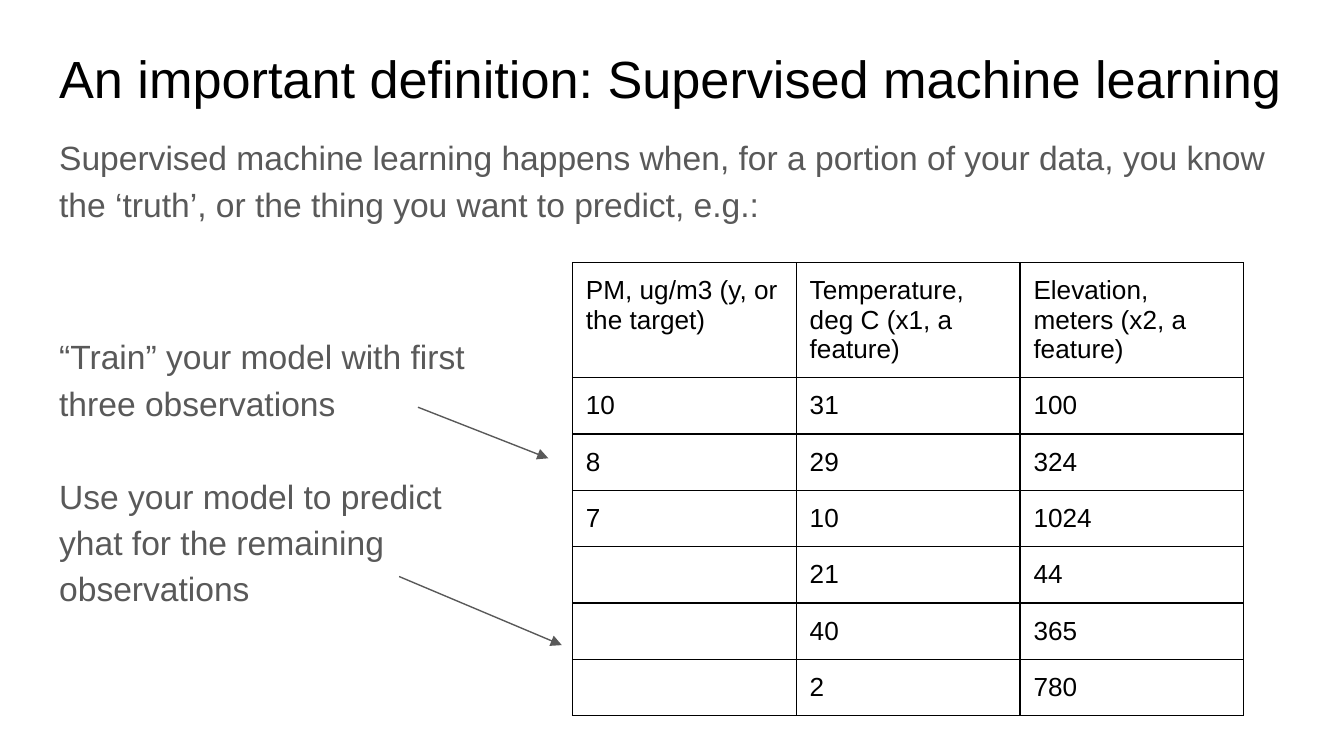
from lxml import etree
from pptx import Presentation
from pptx.dml.color import RGBColor
from pptx.enum.shapes import MSO_CONNECTOR
from pptx.enum.text import MSO_ANCHOR, MSO_AUTO_SIZE, PP_ALIGN
from pptx.oxml.ns import qn
from pptx.util import Emu, Pt

STRAIGHT = MSO_CONNECTOR.STRAIGHT
TOP = MSO_ANCHOR.TOP
LEFT = PP_ALIGN.LEFT
NO_FIT = MSO_AUTO_SIZE.NONE
SCALE = 4572
INSET = 20
FONT = "Arial"
BLACK, GREY = "000000", "595959"

BODY = [
    ("Supervised machine learning happens when, for a portion of your data, "
     "you know the ‘truth’, or the thing you want to predict, e.g.:", 0),
    ("“Train” your model with first\vthree observations", 57),
    ("Use your model to predict\vyhat for the remaining\vobservations", 25),
]
ROWS = [
    ("PM, ug/m3 (y, or the target)", "Temperature, deg C (x1, a feature)",
     "Elevation, meters (x2, a feature)"),
    ("10", "31", "100"),
    ("8", "29", "324"),
    ("7", "10", "1024"),
    ("", "21", "44"),
    ("", "40", "365"),
    ("", "2", "780"),
]
ARROWS = [(594, 858, 836, 960), (622, 606, 816, 682)]


def px(n):
    return Emu(n * SCALE)


def rgb(value):
    return RGBColor.from_string(value)


def write(p, text, size=18, color=BLACK, spacing=1.0, before=0):
    p.text = text
    p.alignment = LEFT
    p.line_spacing = spacing
    p.space_before = Pt(before)
    p.space_after = Pt(0)
    for r in p.runs:
        r.font.size = Pt(size)
        r.font.name = FONT
        r.font.color.rgb = rgb(color)
    if not text:
        end = etree.SubElement(p._p, qn("a:endParaRPr"), sz=str(size * 100))
        etree.SubElement(end, qn("a:latin"), typeface=FONT)


def place(sp, box):
    sp.left, sp.top, sp.width, sp.height = map(px, box)
    tf = sp.text_frame
    tf.word_wrap = True
    tf.auto_size = NO_FIT
    tf.vertical_anchor = TOP
    tf.margin_left = tf.margin_right = px(INSET)
    tf.margin_top = tf.margin_bottom = px(INSET)
    return tf


def add_title(s, box):
    tf = place(s.shapes.title, box)
    write(tf.paragraphs[0],
          "An important definition: Supervised machine learning", size=28)


def add_body(s, box):
    tf = place(s.placeholders[1], box)
    for i, (text, before) in enumerate(BODY):
        p = tf.add_paragraph() if i else tf.paragraphs[0]
        write(p, text, color=GREY, spacing=1.15, before=before)
        pPr = p._p.get_or_add_pPr()
        pPr.set("marL", "0")
        pPr.set("indent", "0")
        etree.SubElement(pPr, qn("a:buNone"))


def add_borders(cell):
    tcPr = cell._tc.get_or_add_tcPr()
    for i, side in enumerate(("lnL", "lnR", "lnT", "lnB")):
        ln = etree.Element(qn("a:" + side), w=str(Pt(0.75)))
        fill = etree.SubElement(ln, qn("a:solidFill"))
        etree.SubElement(fill, qn("a:srgbClr"), val=BLACK)
        tcPr.insert(i, ln)


def add_observations(s, box, header_height):
    x, y, w, h = box
    tbl = s.shapes.add_table(len(ROWS), len(ROWS[0]), *map(px, box)).table
    tbl.first_row = tbl.horz_banding = False
    for col in tbl.columns:
        col.width = px(w) // len(ROWS[0])
    for i, row in enumerate(tbl.rows):
        row.height = px(h - header_height) // (len(ROWS) - 1) if i else px(header_height)
        for cell, text in zip(row.cells, ROWS[i]):
            cell.margin_left = cell.margin_right = px(INSET)
            cell.margin_top = cell.margin_bottom = px(INSET)
            cell.fill.background()
            add_borders(cell)
            write(cell.text_frame.paragraphs[0], text, size=14)


def add_arrow(s, ends):
    line = s.shapes.add_connector(STRAIGHT, *map(px, ends))
    line.line.color.rgb = rgb(GREY)
    line.line.width = Pt(0.75)
    etree.SubElement(line.line._get_or_add_ln(), qn("a:tailEnd"), type="triangle")
    etree.SubElement(line._element.spPr, qn("a:effectLst"))


def main():
    prs = Presentation()
    prs.slide_width, prs.slide_height = px(2000), px(1125)
    s = prs.slides.add_slide(prs.slide_layouts[1])
    add_title(s, (68, 49, 1908, 126))
    add_body(s, (68, 175, 1864, 748))
    add_observations(s, (852, 391, 999, 666), 166)
    for ends in ARROWS:
        add_arrow(s, ends)
    prs.save("out.pptx")


if __name__ == "__main__":
    main()
